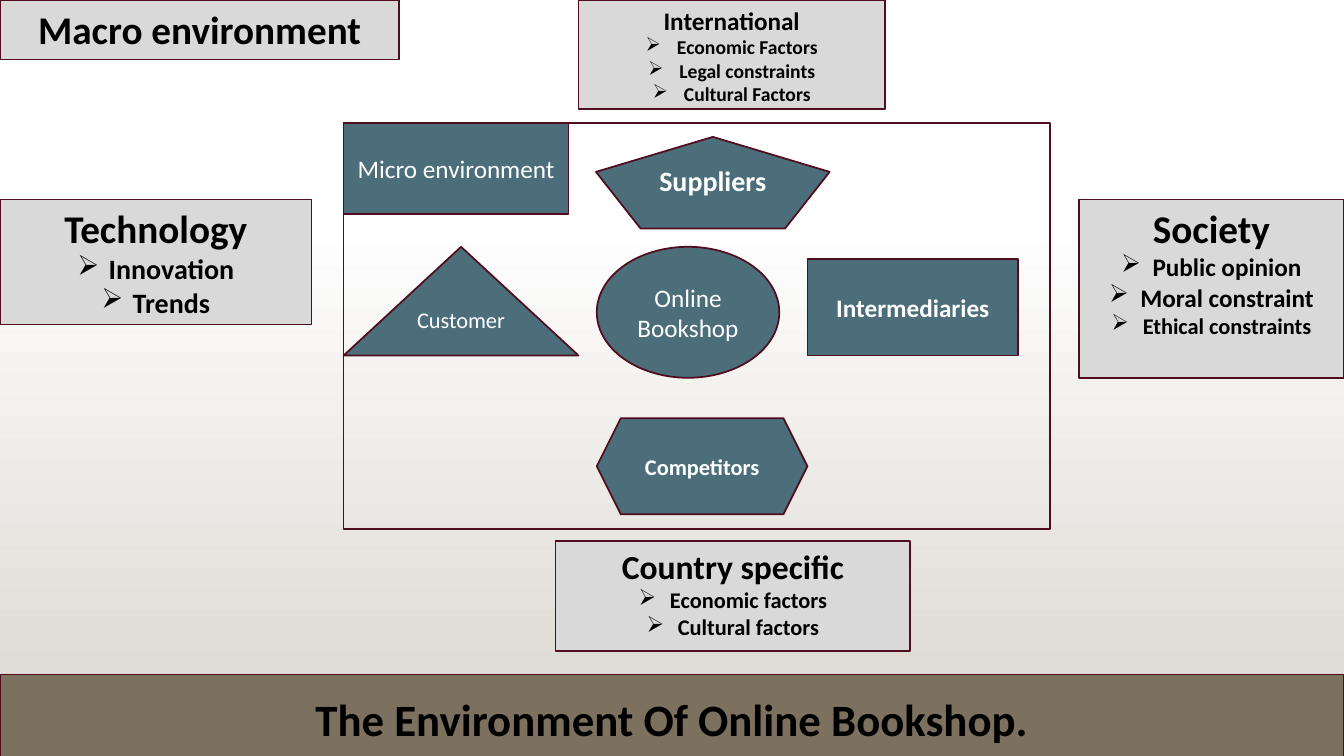
from lxml import etree
from pptx import Presentation
from pptx.dml.color import RGBColor
from pptx.enum import shapes, text
from pptx.oxml import ns
from pptx.util import Cm, Pt

COLORS = {
    "white": "FFFFFF", "black": "000000", "stone": "DFDBD5", "grey": "D9D9D9",
    "teal": "4C6E7A", "brown": "7C705E", "maroon": "500D1D",
}
KIND = shapes.MSO_SHAPE
TOP, MIDDLE = text.MSO_ANCHOR.TOP, text.MSO_ANCHOR.MIDDLE
SLIDE_W, SLIDE_H = 33.87, 19.05
INDENT = Cm(0.79)


def rgb(name):
    return RGBColor.from_string(COLORS[name])


def add_bullet(p):
    pPr = p._p.get_or_add_pPr()
    pPr.set("marL", str(INDENT))
    pPr.set("indent", str(-INDENT))
    etree.SubElement(pPr, ns.qn("a:buChar")).set("char", "➢")


def add_text(tf, words, size, color="black", bold=True, bullet=False):
    """Write a centred paragraph, reusing the first one while it is empty."""
    p = tf.paragraphs[0] if not tf.text else tf.add_paragraph()
    p.alignment = text.PP_ALIGN.CENTER
    if bullet:
        add_bullet(p)
    r = p.add_run()
    r.text = words
    r.font.name, r.font.size, r.font.bold = "Calibri", Pt(size), bold
    r.font.color.rgb = rgb(color)


def add_box(s, box, fill=None, kind=KIND.RECTANGLE, anchor=TOP):
    sp = s.shapes.add_shape(kind, *(Cm(v) for v in box))
    sp.shadow.inherit = False
    if fill:
        sp.fill.solid()
        sp.fill.fore_color.rgb = rgb(fill)
    else:
        sp.fill.background()
    sp.line.color.rgb = rgb("maroon")
    sp.line.width = Pt(1.25)
    sp.text_frame.word_wrap = True
    sp.text_frame.vertical_anchor = anchor
    return sp


def add_backdrop(s, box):
    sp = add_box(s, box)
    sp.line.fill.background()
    sp.fill.gradient()
    sp.fill.gradient_angle = 270
    for stop, position, color in zip(sp.fill.gradient_stops, (0, 1), ("white", "stone")):
        stop.position = position
        stop.color.rgb = rgb(color)


def add_factor_box(s, box, title, title_size, factors=()):
    tf = add_box(s, box, "grey").text_frame
    add_text(tf, title, title_size)
    for words, size in factors:
        add_text(tf, words, size, bullet=True)


def add_macro_environment(s, box):
    """Place the grey boxes along the edges of the given box."""
    x, y, w, h = box
    side_y, society_w, country_h = y + 5.03, 6.68, 2.77
    add_factor_box(s, (x + 14.58, y, 7.72, 2.74), "International", 18, [
        ("Economic Factors", 14), ("Legal constraints", 14), ("Cultural Factors", 14)])
    add_factor_box(s, (x, y, 10.06, 1.5), "Macro environment", 28)
    add_factor_box(s, (x, side_y, 7.85, 3.15), "Technology", 28, [
        ("Innovation", 20), ("Trends", 20)])
    add_factor_box(s, (x + 14, y + h - country_h, 8.94, country_h), "Country specific", 24, [
        ("Economic factors", 16), ("Cultural factors", 16)])
    add_factor_box(s, (x + w - society_w, side_y, society_w, 4.5), "Society", 28, [
        ("Public opinion", 18), ("Moral constraint", 18), ("Ethical constraints", 16)])


def add_micro_environment(s, box):
    """Draw the frame and, at offsets from its corner, the actors inside."""
    x, y = box[:2]
    add_box(s, box)
    actors = [
        ("Micro environment", KIND.RECTANGLE, (0, 0, 5.67, 2.3), 18, False, MIDDLE),
        ("Online Bookshop", KIND.OVAL, (6.38, 3.12, 4.6, 3.3), 18, False, MIDDLE),
        ("Customer", KIND.ISOSCELES_TRIANGLE, (0, 3.12, 5.92, 2.74), 16, False, TOP),
        ("Intermediaries", KIND.RECTANGLE, (11.69, 3.43, 5.31, 2.43), 18, True, MIDDLE),
        ("Suppliers", KIND.REGULAR_PENTAGON, (6.36, 0.35, 5.89, 2.31), 20, True, TOP),
        ("Competitors", KIND.HEXAGON, (6.38, 7.44, 5.31, 2.42), 16, True, MIDDLE),
    ]
    for name, kind, (dx, dy, w, h), size, bold, anchor in actors:
        sp = add_box(s, (x + dx, y + dy, w, h), "teal", kind, anchor)
        add_text(sp.text_frame, name, size, "white", bold)


def add_title_bar(s, box):
    sp = add_box(s, box, "brown", anchor=MIDDLE)
    add_text(sp.text_frame, "The Environment Of Online Bookshop.", 32)


def main():
    prs = Presentation()
    prs.slide_width, prs.slide_height = Cm(SLIDE_W), Cm(SLIDE_H)
    s = prs.slides.add_slide(prs.slide_layouts[6])
    add_backdrop(s, (0, 5.61, SLIDE_W, 11.4))
    add_macro_environment(s, (0, 0, SLIDE_W, 16.41))
    add_micro_environment(s, (8.66, 3.1, 17.8, 10.23))
    add_title_bar(s, (0, 17, SLIDE_W, 2.2))
    prs.save("out.pptx")


if __name__ == "__main__":
    main()
